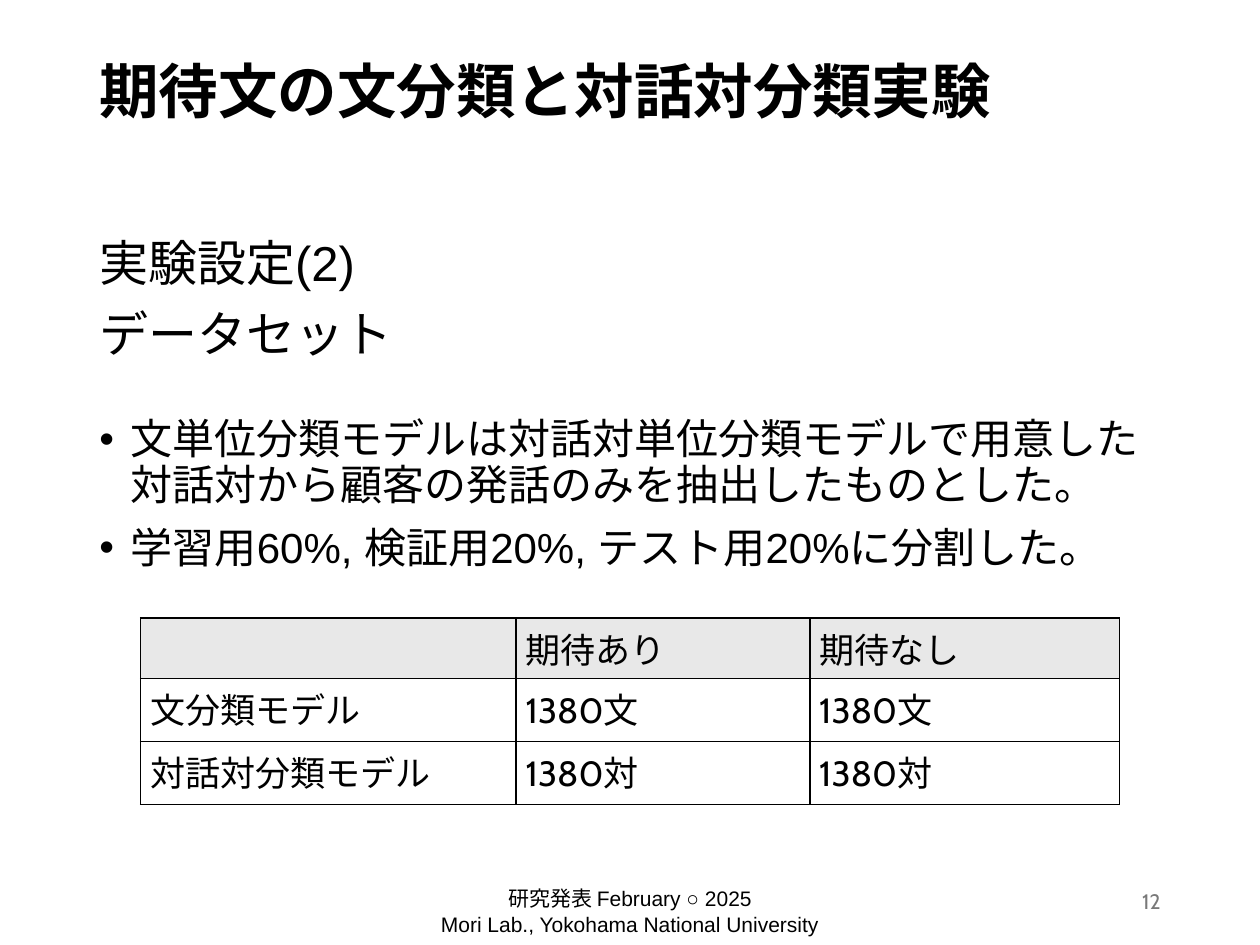
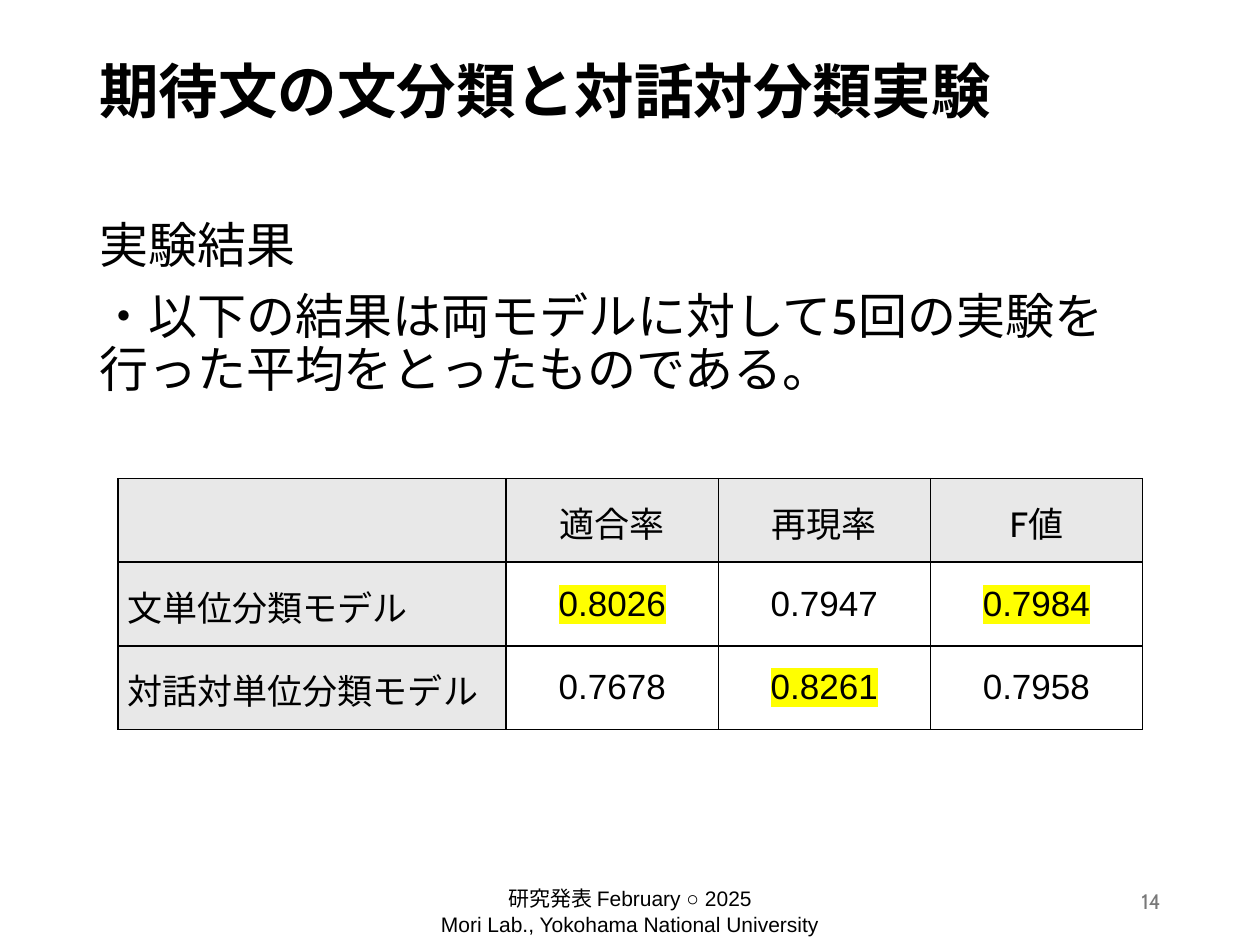
from dataclasses import dataclass

from lxml.etree import SubElement
from pptx import Presentation
from pptx.dml.color import RGBColor
from pptx.enum.lang import MSO_LANGUAGE_ID as Language
from pptx.enum.text import MSO_ANCHOR as Anchor, MSO_AUTO_SIZE as AutoSize, PP_ALIGN as Align
from pptx.oxml.ns import qn
from pptx.util import Pt


@dataclass(frozen=True)
class Theme:
    black: str = "000000"
    gray: str = "797979"
    header_fill: str = "E8E8E8"
    highlight: str = "FFFF00"
    latin: str = "Arial"
    plain: str = "Cabin"
    japanese: str = "Noto Sans CJK JP"
    title_size: float = 34
    heading_size: float = 28
    bullet_size: float = 24
    table_size: float = 20
    footer_size: float = 12
    line_spacing: float = 0.9
    gap: float = 10
    bullet_indent: float = 18
    border: float = 1


THEME = Theme()


@dataclass(frozen=True)
class Area:
    left: float
    top: float
    width: float
    height: float

    def lengths(self) -> tuple:
        return Pt(self.left), Pt(self.top), Pt(self.width), Pt(self.height)


@dataclass(frozen=True)
class Style:
    size: float
    font: str = THEME.plain
    east_asian: str = THEME.japanese
    color: str = THEME.black
    bold: bool = False
    highlight: str = ""


@dataclass(frozen=True)
class Line:
    text: str
    style: Style
    bullet: bool = False
    space_before: float = THEME.gap


@dataclass(frozen=True)
class Cell:
    text: str = ""
    shaded: bool = False
    number: bool = False
    best: bool = False


@dataclass(frozen=True)
class Grid:
    left: float
    top: float
    columns: tuple[float, ...]
    rows: tuple[float, ...]
    cells: tuple[tuple[Cell, ...], ...]
    centered: bool = False


@dataclass(frozen=True)
class Page:
    number: int
    body_area: Area
    body: tuple[Line, ...]
    grid: Grid


TITLE = "期待文の文分類と対話対分類実験"
FOOTER = ("研究発表 February ○ 2025", "Mori Lab., Yokohama National University")
TITLE_AREA = Area(49.7, 18.7, 620.6, 70.6)
FOOTER_AREA = Area(238.3, 506.2, 243.4, 28.8)
NUMBER_AREA = Area(508.3, 500.4, 162, 28.8)

TITLE_STYLE = Style(THEME.title_size, THEME.japanese, bold=True)
HEADING = Style(THEME.heading_size, east_asian=THEME.plain)
HEADING_LATIN = Style(THEME.heading_size, THEME.latin, THEME.plain)
BULLET = Style(THEME.bullet_size, east_asian=THEME.plain)
BULLET_LATIN = Style(THEME.bullet_size, THEME.latin, THEME.plain)
FOOTER_STYLE = Style(THEME.footer_size, THEME.latin)
NUMBER_STYLE = Style(THEME.footer_size, color=THEME.gray)


def add_span(para, text: str, style: Style) -> None:
    span = para.add_run()
    span.text = text
    font = span.font
    font.size, font.bold = Pt(style.size), style.bold
    font.language_id = Language.JAPANESE
    font.color.rgb = RGBColor.from_string(style.color)
    properties = font._element
    if style.highlight:
        mark = SubElement(properties, qn("a:highlight"))
        SubElement(mark, qn("a:srgbClr"), val=style.highlight)
    font.name = style.font
    SubElement(properties, qn("a:ea"), typeface=style.east_asian)


def add_bullet(para) -> None:
    properties = para._p.get_or_add_pPr()
    indent = Pt(THEME.bullet_indent)
    properties.set("marL", str(indent))
    properties.set("indent", str(-indent))
    SubElement(properties, qn("a:buFont"), typeface=THEME.latin)
    SubElement(properties, qn("a:buChar"), char="•")


def next_para(frame, index: int):
    return frame.add_paragraph() if index else frame.paragraphs[0]


def prepare_frame(frame, anchor: Anchor) -> None:
    frame.word_wrap = True
    frame.auto_size = AutoSize.NONE
    frame.vertical_anchor = anchor


def add_title(slide) -> None:
    box = slide.shapes.title
    box.left, box.top, box.width, box.height = TITLE_AREA.lengths()
    prepare_frame(box.text_frame, Anchor.MIDDLE)
    para = box.text_frame.paragraphs[0]
    para.alignment = Align.LEFT
    para.line_spacing = THEME.line_spacing
    add_span(para, TITLE, TITLE_STYLE)


def add_body(slide, area: Area, lines: tuple[Line, ...]) -> None:
    frame = slide.shapes.add_textbox(*area.lengths()).text_frame
    prepare_frame(frame, Anchor.TOP)
    for index, line in enumerate(lines):
        para = next_para(frame, index)
        para.line_spacing = THEME.line_spacing
        if index:
            para.space_before = Pt(line.space_before)
        if line.bullet:
            add_bullet(para)
        add_span(para, line.text, line.style)


def add_label(slide, area: Area, texts: tuple[str, ...], style: Style, alignment: Align) -> None:
    frame = slide.shapes.add_textbox(*area.lengths()).text_frame
    prepare_frame(frame, Anchor.MIDDLE)
    for index, text in enumerate(texts):
        para = next_para(frame, index)
        para.alignment = alignment
        add_span(para, text, style)


def add_borders(cell) -> None:
    properties = cell._tc.get_or_add_tcPr()
    for side in ("lnL", "lnR", "lnT", "lnB"):
        line = SubElement(properties, qn(f"a:{side}"), w=str(Pt(THEME.border)))
        fill = SubElement(line, qn("a:solidFill"))
        SubElement(fill, qn("a:srgbClr"), val=THEME.black)


def fill_cell(cell, content: Cell, centered_grid: bool, first_column: bool) -> None:
    add_borders(cell)
    if content.shaded:
        cell.fill.solid()
        cell.fill.fore_color.rgb = RGBColor.from_string(THEME.header_fill)
    else:
        cell.fill.background()
    side = 0.7 if content.number else 5.4
    cell.margin_left = cell.margin_right = Pt(side)
    cell.margin_top = cell.margin_bottom = Pt(0 if centered_grid else 2.7)
    cell.vertical_anchor = Anchor.MIDDLE if centered_grid else Anchor.TOP
    if not content.text:
        return
    para = cell.text_frame.paragraphs[0]
    para.alignment = Align.CENTER if centered_grid and not first_column else Align.LEFT
    if centered_grid and not content.number:
        para.line_spacing = 1.07
        para.space_after = Pt(8)
    style = Style(THEME.table_size, THEME.latin if content.number else THEME.plain,
                  highlight=THEME.highlight if content.best else "")
    add_span(para, content.text, style)


def add_grid(slide, grid: Grid) -> None:
    area = Area(grid.left, grid.top, sum(grid.columns), sum(grid.rows))
    table = slide.shapes.add_table(len(grid.rows), len(grid.columns), *area.lengths()).table
    table.first_row = table.horz_banding = False
    for column, width in zip(table.columns, grid.columns):
        column.width = Pt(width)
    for row, height, contents in zip(table.rows, grid.rows, grid.cells):
        row.height = Pt(height)
        for index, (cell, content) in enumerate(zip(row.cells, contents)):
            fill_cell(cell, content, grid.centered, index == 0)


def header_row(*names: str) -> tuple[Cell, ...]:
    return tuple(Cell(name, shaded=True) for name in ("", *names))


def score_row(model: str, scores: tuple[str, ...], best: set[str]) -> tuple[Cell, ...]:
    numbers = (Cell(score, number=True, best=score in best) for score in scores)
    return (Cell(model, shaded=True), *numbers)


def count_row(model: str, count: str) -> tuple[Cell, ...]:
    return Cell(model), Cell(count), Cell(count)


# Slide contents
DATASET = Page(
    12,
    Area(49.7, 133.2, 620.6, 399.6),
    (
        Line("実験設定(2)", HEADING_LATIN),
        Line("データセット", HEADING),
        Line("文単位分類モデルは対話対単位分類モデルで用意した"
             "対話対から顧客の発話のみを抽出したものとした。", BULLET, True, 32),
        Line("学習用60%, 検証用20%, テスト用20%に分割した。", BULLET_LATIN, True),
    ),
    Grid(80.4, 353.2, (214.6, 167.8, 177.1), (31.7, 36, 36), (
        header_row("期待あり", "期待なし"),
        count_row("文分類モデル", "1380文"),
        count_row("対話対分類モデル", "1380対"),
    )),
)
RESULTS = Page(
    14,
    Area(49.7, 123.1, 620.6, 342.7),
    (
        Line("実験結果", HEADING),
        Line("・以下の結果は両モデルに対して5回の実験を行った平均をとったものである。", HEADING),
    ),
    Grid(67.5, 273.5, (221.8,) + (121.2,) * 3, (47.8,) * 3, (
        header_row("適合率", "再現率", "F値"),
        score_row("文単位分類モデル", ("0.8026", "0.7947", "0.7984"), {"0.8026", "0.7984"}),
        score_row("対話対単位分類モデル", ("0.7678", "0.8261", "0.7958"), {"0.8261"}),
    ), centered=True),
)


def main() -> None:
    deck = Presentation()
    deck.slide_width, deck.slide_height = Pt(720), Pt(540)
    title_only = deck.slide_layouts[5]
    for page in (DATASET, RESULTS):
        slide = deck.slides.add_slide(title_only)
        add_title(slide)
        add_body(slide, page.body_area, page.body)
        add_grid(slide, page.grid)
        # Footer and page number
        add_label(slide, FOOTER_AREA, FOOTER, FOOTER_STYLE, Align.CENTER)
        add_label(slide, NUMBER_AREA, (str(page.number),), NUMBER_STYLE, Align.RIGHT)
    deck.save("out.pptx")


if __name__ == "__main__":
    main()
